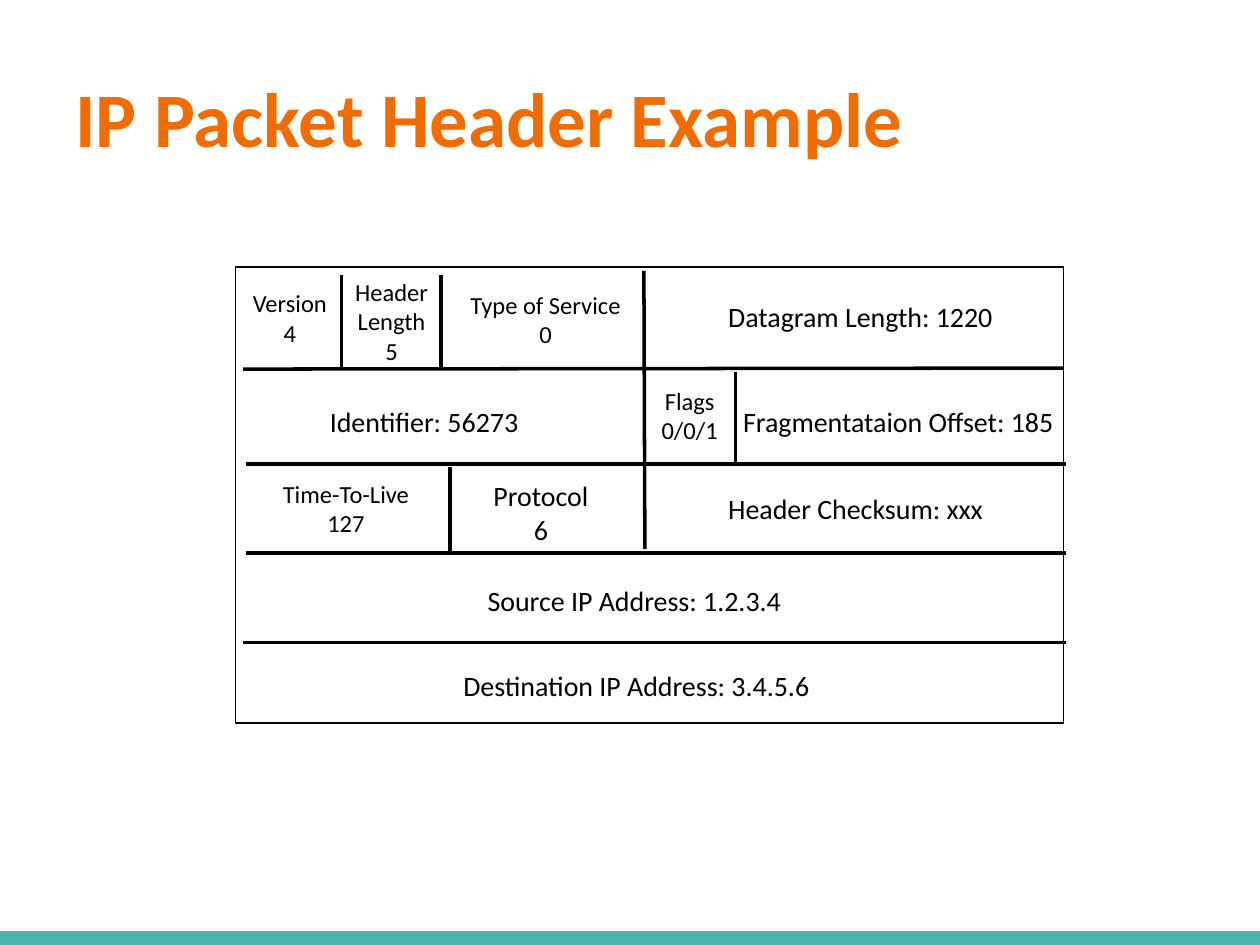
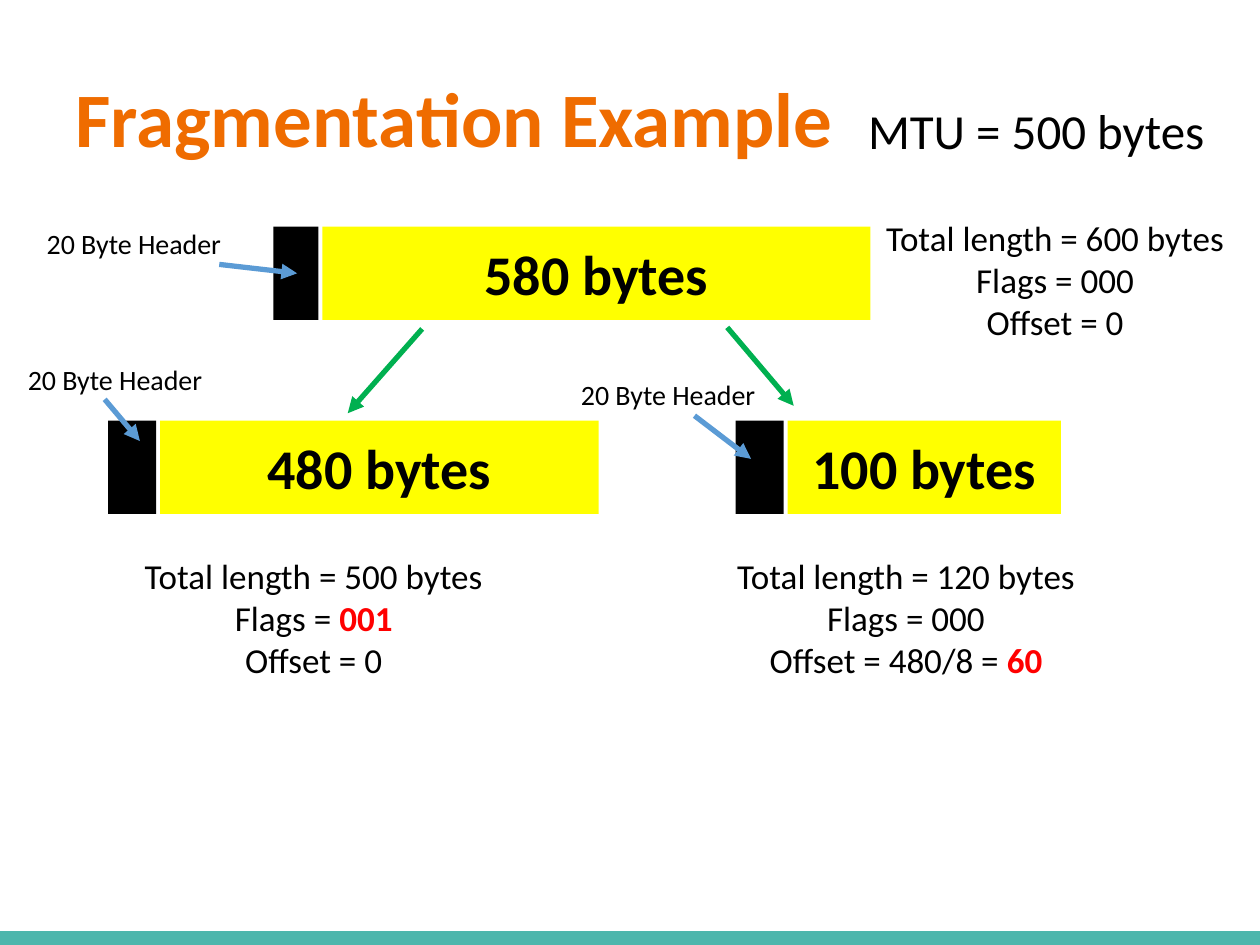
from dataclasses import dataclass

from lxml.etree import SubElement
from pptx import Presentation
from pptx.dml.color import RGBColor
from pptx.enum.shapes import MSO_CONNECTOR, MSO_SHAPE
from pptx.enum.text import MSO_ANCHOR, MSO_AUTO_SIZE, PP_ALIGN
from pptx.oxml.ns import qn
from pptx.shapes.autoshape import Shape
from pptx.slide import Slide
from pptx.text.text import TextFrame
from pptx.util import Cm, Pt

FONT = "Calibri"
BLACK, WHITE, ORANGE, TEAL = "000000", "FFFFFF", "EF6C00", "4DB6AC"
YELLOW, RED, GREEN, BLUE = "FFFF00", "FF0000", "00B050", "5B9BD5"
SLIDE_WIDTH, SLIDE_HEIGHT = 25.4, 19.05
BAND_Y = 18.95
PACKET_HEIGHT, HEADER_GAP = 1.88, 0.08
CM_PER_POINT = 2.54 / 72


@dataclass(frozen=True)
class TextStyle:
    size: float
    color: str = BLACK
    bold: bool = False
    align: PP_ALIGN = PP_ALIGN.CENTER


@dataclass(frozen=True)
class Label:
    left: float
    top: float
    width: float
    lines: tuple[str, ...]
    style: TextStyle
    wrap: bool = True


@dataclass(frozen=True)
class Stroke:
    x1: float
    y1: float
    x2: float
    y2: float
    color: str = BLACK
    weight: float = 2
    arrow: bool = False


@dataclass(frozen=True)
class Packet:
    left: float
    top: float
    header_width: float
    payload_width: float
    payload: str


TITLE = TextStyle(44, ORANGE, True, PP_ALIGN.LEFT)
SMALL_FIELD = TextStyle(14)
WIDE_FIELD = TextStyle(16, align=PP_ALIGN.LEFT)
CENTERED_FIELD = TextStyle(16)
FACT = TextStyle(20)
MTU = TextStyle(28)
PAYLOAD = TextStyle(32, bold=True)


def rgb(code: str) -> RGBColor:
    """Turn a hex string into a colour."""
    return RGBColor.from_string(code)


def write_lines(frame: TextFrame, lines: tuple[str, ...], style: TextStyle) -> None:
    """Write one paragraph per line; whatever follows a bar is highlighted."""
    for number, line in enumerate(lines):
        paragraph = frame.add_paragraph() if number else frame.paragraphs[0]
        paragraph.alignment = style.align
        plain, _, highlight = line.partition("|")
        for words, color, bold in ((plain, style.color, style.bold), (highlight, RED, True)):
            if words:
                run = paragraph.add_run()
                run.text = words
                font_format = {"name": FONT, "size": Pt(style.size), "bold": bold}
                for attribute, value in font_format.items():
                    setattr(run.font, attribute, value)
                run.font.color.rgb = rgb(color)


def add_label(slide: Slide, label: Label) -> None:
    """Place text in a box as tall as its lines."""
    height = (1.2 * label.style.size * len(label.lines) + 7.2) * CM_PER_POINT
    box = slide.shapes.add_textbox(Cm(label.left), Cm(label.top), Cm(label.width), Cm(height))
    frame_format = {"word_wrap": label.wrap, "auto_size": MSO_AUTO_SIZE.SHAPE_TO_FIT_TEXT}
    for attribute, value in frame_format.items():
        setattr(box.text_frame, attribute, value)
    write_lines(box.text_frame, label.lines, label.style)


def add_stroke(slide: Slide, stroke: Stroke) -> None:
    """Draw a straight line, with an arrowhead at its end if wanted."""
    connector = slide.shapes.add_connector(
        MSO_CONNECTOR.STRAIGHT, Cm(stroke.x1), Cm(stroke.y1), Cm(stroke.x2), Cm(stroke.y2)
    )
    connector.line.color.rgb = rgb(stroke.color)
    connector.line.width = Pt(stroke.weight)
    if stroke.arrow:
        SubElement(connector.line._get_or_add_ln(), qn("a:tailEnd"), type="triangle")
    SubElement(connector._element.spPr, qn("a:effectLst"))


def add_block(slide: Slide, left: float, top: float, width: float, height: float,
              fill: str | None) -> Shape:
    """Draw a filled rectangle, or an outlined one when there is no fill."""
    block = slide.shapes.add_shape(
        MSO_SHAPE.RECTANGLE, Cm(left), Cm(top), Cm(width), Cm(height)
    )
    block.shadow.inherit = False
    if fill:
        block.fill.solid()
        block.fill.fore_color.rgb = rgb(fill)
        block.line.fill.background()
    else:
        block.fill.background()
        block.line.color.rgb = rgb(BLACK)
        block.line.width = Pt(1)
    return block


def add_packet(slide: Slide, packet: Packet) -> None:
    """Draw a packet as a black header followed by its payload."""
    add_block(slide, packet.left, packet.top, packet.header_width, PACKET_HEIGHT, BLACK)
    payload_left = packet.left + packet.header_width + HEADER_GAP
    payload = add_block(
        slide, payload_left, packet.top, packet.payload_width, PACKET_HEIGHT, YELLOW
    )
    payload.text_frame.vertical_anchor = MSO_ANCHOR.MIDDLE
    write_lines(payload.text_frame, (packet.payload,), PAYLOAD)


def start_slide(deck: Presentation, heading: str) -> Slide:
    """Add a white slide with the bottom band and the title."""
    slide = deck.slides.add_slide(deck.slide_layouts[6])
    slide.background.fill.solid()
    slide.background.fill.fore_color.rgb = rgb(WHITE)
    add_stroke(slide, Stroke(0, BAND_Y, SLIDE_WIDTH, BAND_Y, TEAL, 10))
    title = slide.shapes.add_textbox(Cm(1.27), Cm(0.76), Cm(22.86), Cm(3.18))
    title.text_frame.word_wrap = True
    title.text_frame.vertical_anchor = MSO_ANCHOR.MIDDLE
    write_lines(title.text_frame, (heading,), TITLE)
    return slide


def build_header_slide(deck: Presentation) -> None:
    """Show the fields of an IP packet header."""
    slide = start_slide(deck, "IP Packet Header Example")
    add_block(slide, 4.75, 5.38, 16.69, 9.19, None)
    row_rules = (
        Stroke(4.9, 7.44, 21.44, 7.42),
        *(Stroke(4.95, y, 21.49, y) for y in (9.35, 11.15)),
        Stroke(4.9, 12.95, 21.49, 12.95),
    )
    field_rules = (
        Stroke(12.98, 5.46, 13, 11.07),
        *(Stroke(x, 5.54, x, 7.39) for x in (6.88, 8.89)),
        Stroke(14.83, 7.49, 14.83, 9.32),
        Stroke(9.07, 9.42, 9.07, 11.1),
    )
    for rule in row_rules + field_rules:
        add_stroke(slide, rule)
    fields = (
        Label(4.83, 5.69, 2.03, ("Version", "4"), SMALL_FIELD, False),
        Label(6.88, 5.46, 2.03, ("Header", "Length", "5"), SMALL_FIELD, False),
        Label(9.22, 5.72, 3.56, ("Type of Service", "0"), SMALL_FIELD, False),
        Label(14.43, 5.92, 5.89, ("Datagram Length: 1220",), WIDE_FIELD, False),
        Label(6.4, 8.03, 4.37, ("Identifier: 56273",), WIDE_FIELD, False),
        Label(13.08, 7.65, 1.65, ("Flags", "0/0/1"), SMALL_FIELD, False),
        Label(14.73, 8.03, 6.86, ("Fragmentataion Offset: 185",), WIDE_FIELD, False),
        Label(5.44, 9.53, 3.07, ("Time-To-Live", "127"), SMALL_FIELD, False),
        Label(9.14, 9.53, 3.53, ("Protocol", "6"), CENTERED_FIELD),
        Label(14.43, 9.78, 5.72, ("Header Checksum: xxx",), WIDE_FIELD, False),
        Label(9.58, 11.63, 6.5, ("Source IP Address: 1.2.3.4",), WIDE_FIELD, False),
        Label(9.09, 13.36, 7.57, ("Destination IP Address: 3.4.5.6",), WIDE_FIELD, False),
    )
    for field in fields:
        add_label(slide, field)


def build_fragmentation_slide(deck: Presentation) -> None:
    """Show one packet split into two fragments."""
    slide = start_slide(deck, "Fragmentation Example")
    packets = (
        Packet(5.51, 4.57, 0.91, 11.05, "580 bytes"),
        Packet(2.18, 8.48, 0.97, 8.84, "480 bytes"),
        Packet(14.83, 8.48, 0.97, 5.51, "100 bytes"),
    )
    for packet in packets:
        add_packet(slide, packet)
    header_notes = tuple(
        Label(left, top, 7.44, ("20 Byte Header",), CENTERED_FIELD)
        for left, top in ((-1.02, 4.45), (-1.4, 7.19), (9.75, 7.49))
    )
    facts = (
        Label(16, 1.9, 9.78, ("MTU = 500 bytes",), MTU),
        Label(16.76, 4.24, 9.02,
              ("Total length = 600 bytes", "Flags = 000", "Offset = 0"), FACT),
        Label(-0.38, 11.05, 13.41,
              ("Total length = 500 bytes", "Flags = |001", "Offset = 0"), FACT),
        Label(11.56, 11.05, 13.41,
              ("Total length = 120 bytes", "Flags = 000", "Offset = 480/8 = |60"), FACT),
    )
    for label in header_notes + facts:
        add_label(slide, label)
    arrows = (
        (GREEN, 8.51, 6.63, 7.01, 8.33),
        (GREEN, 14.66, 6.6, 16, 8.18),
        (BLUE, 4.42, 5.33, 5.99, 5.51),
        (BLUE, 2.11, 8.05, 2.82, 8.89),
        (BLUE, 14, 8.38, 15.14, 9.25),
    )
    for color, *ends in arrows:
        add_stroke(slide, Stroke(*ends, color=color, weight=3, arrow=True))


def main() -> None:
    """Build both slides and save them."""
    deck = Presentation()
    deck.slide_width, deck.slide_height = Cm(SLIDE_WIDTH), Cm(SLIDE_HEIGHT)
    build_header_slide(deck)
    build_fragmentation_slide(deck)
    deck.save("out.pptx")


main()
